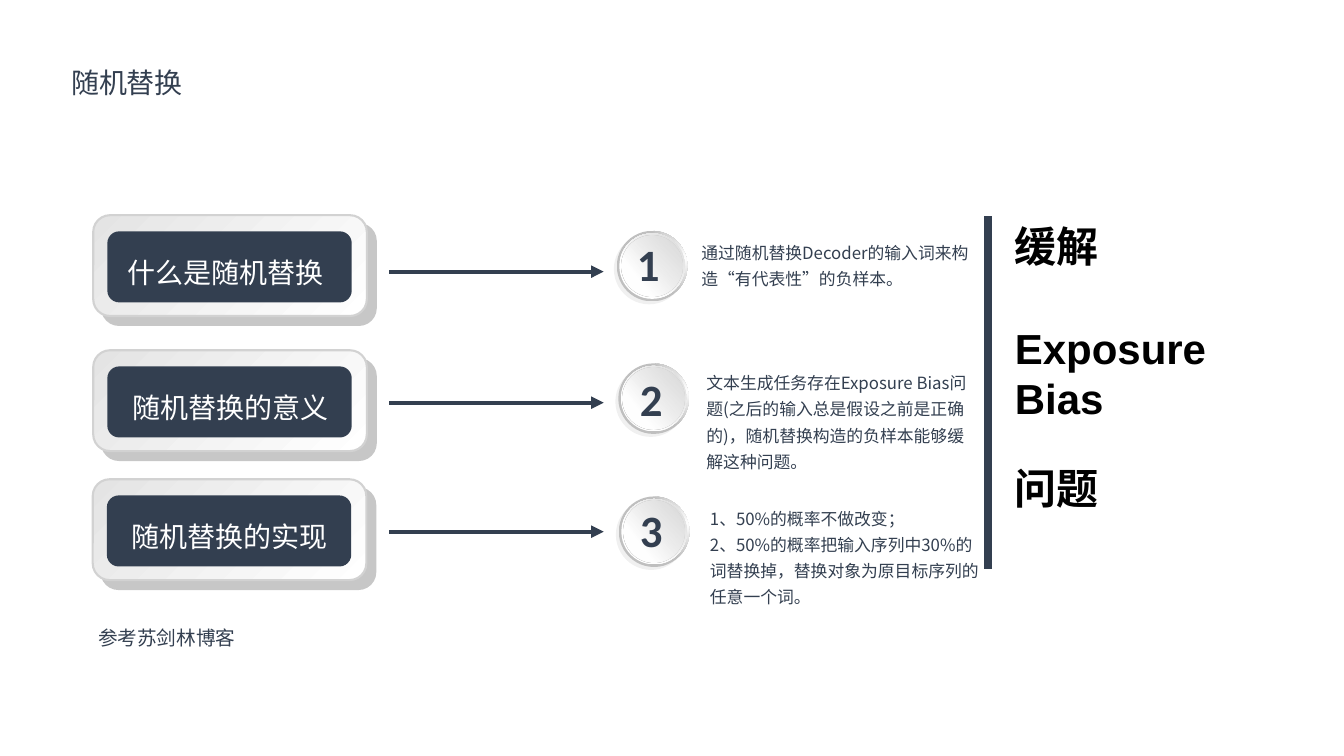
from lxml.etree import SubElement
from pptx import Presentation
from pptx.dml.color import RGBColor
from pptx.enum.shapes import MSO_CONNECTOR, MSO_SHAPE
from pptx.enum.text import MSO_ANCHOR, MSO_AUTO_SIZE, PP_ALIGN
from pptx.oxml.ns import qn
from pptx.util import Inches, Pt

COLORS = {"navy": "333F50", "white": "FFFFFF", "black": "000000", "edge": "D2D2D2",
          "silver": "BFBFBF", "light": "D9D9D9", "pale": "E4E4E4"}
CJK_FONT = "Noto Sans CJK SC"
BADGE_SIZE = 1.4
ROWS = [
    {"card": (1.85, 4.27), "label": "什么是随机替换", "label_left": 2.43, "arrow": 5.39,
     "badge": (12.24, 4.58), "numeral": (0.3, 0.02), "note": (13.82, 4.6, 5.57, 1.25),
     "lines": ["通过随机替换Decoder的输入词来构造“有代表性”的负样本。"]},
    {"card": (1.85, 6.95), "label": "随机替换的意义", "label_left": 2.53, "arrow": 7.99,
     "badge": (12.27, 7.21), "numeral": (0.33, 0.06), "note": (13.92, 7.18, 5.57, 2.3),
     "lines": ["文本生成任务存在Exposure Bias问题(之后的输入总是假设之前是正确的)，"
               "随机替换构造的负样本能够缓解这种问题。"]},
    {"card": (1.84, 9.51), "label": "随机替换的实现", "label_left": 2.52, "arrow": 10.55,
     "badge": (12.28, 9.85), "numeral": (0.32, 0.02), "note": (13.99, 9.87, 5.57, 2.3),
     "lines": ["1、50%的概率不做改变；",
               "2、50%的概率把输入序列中30%的词替换掉，替换对象为原目标序列的任意一个词。"]},
]


def rgb(name):
    """Return the named colour."""
    return RGBColor.from_string(COLORS[name])


def write_text(shape, lines, size, color, font=CJK_FONT, bold=False, spacing=1.0, wrap=True):
    """Fill a shape with left-aligned paragraphs in one format."""
    frame = shape.text_frame
    frame.text = "\n".join(lines)
    frame.word_wrap = wrap
    frame.auto_size = MSO_AUTO_SIZE.NONE
    frame.vertical_anchor = MSO_ANCHOR.TOP
    frame.margin_left = frame.margin_right = Inches(0.1)
    frame.margin_top = frame.margin_bottom = Inches(0.1)
    for paragraph in frame.paragraphs:
        paragraph.alignment = PP_ALIGN.LEFT
        paragraph.line_spacing = spacing
        for run in paragraph.runs:
            run.font.size = Pt(size)
            run.font.bold = bold
            run.font.color.rgb = rgb(color)
            run.font.name = font
            SubElement(run.font._element, qn("a:ea"), typeface=CJK_FONT)


def add_text(shapes, box, lines, size, color, **style):
    """Add a text box at the given box."""
    write_text(shapes.add_textbox(*map(Inches, box)), lines, size, color, **style)


def add_plain_shape(shapes, kind, box, color="white"):
    """Add a filled shape with no outline and no shadow."""
    shape = shapes.add_shape(kind, *map(Inches, box))
    shape.shadow.inherit = False
    shape.fill.solid()
    shape.fill.fore_color.rgb = rgb(color)
    shape.line.fill.background()
    return shape


def set_gradient(shape, stops, angle=None, focus=None):
    """Give a shape a linear gradient, or a rectangular one around a focus."""
    solid = shape._element.spPr.find(qn("a:solidFill"))
    gradient = solid.makeelement(qn("a:gradFill"), {"rotWithShape": "1"})
    solid.getparent().replace(solid, gradient)
    stop_list = SubElement(gradient, qn("a:gsLst"))
    for position, color, alpha in stops:
        stop = SubElement(stop_list, qn("a:gs"), pos=str(position * 1000))
        value = SubElement(stop, qn("a:srgbClr"), val=COLORS[color])
        if alpha < 100:
            SubElement(value, qn("a:alpha"), val=str(alpha * 1000))
    if focus:
        route = SubElement(gradient, qn("a:path"), {"path": "rect"})
        sides = {side: str(percent * 1000) for side, percent in zip("ltrb", focus)}
        SubElement(route, qn("a:fillToRect"), sides)
    else:
        SubElement(gradient, qn("a:lin"), ang=str(angle * 60000), scaled="0")


def set_shadow(shape, alpha, distance, angle):
    """Give a shape a sharp black outer shadow."""
    effects = shape._element.spPr.find(qn("a:effectLst"))
    shadow = SubElement(effects, qn("a:outerShdw"), blurRad="0", dist=str(Pt(distance)),
                        dir=str(angle * 60000), algn="ctr", rotWithShape="0")
    value = SubElement(shadow, qn("a:srgbClr"), val=COLORS["black"])
    SubElement(value, qn("a:alpha"), val=str(alpha * 1000))


def add_line(shapes, start, end, width, arrow=False):
    """Add a navy line, with an arrowhead at its end if asked."""
    line = shapes.add_connector(MSO_CONNECTOR.STRAIGHT, *map(Inches, (*start, *end)))
    line.line.color.rgb = rgb("navy")
    line.line.width = Pt(width)
    if arrow:
        SubElement(line.line._get_or_add_ln(), qn("a:tailEnd"), type="triangle")
    SubElement(line._element.spPr, qn("a:effectLst"))


def add_card(slide, left, top, label, label_left):
    """Add a raised frame with a navy face and its label."""
    shapes = slide.shapes.add_group_shape().shapes
    frame = add_plain_shape(shapes, MSO_SHAPE.ROUNDED_RECTANGLE, (left, top, 5.43, 2))
    set_gradient(frame, [(0, "pale", 100), (100, "white", 100)], angle=45)
    frame.line.color.rgb = rgb("edge")
    frame.line.width = Pt(3)
    set_shadow(frame, 22, 18, 45)
    face = (left + 0.28, top + 0.32, 4.85, 1.41)
    add_plain_shape(shapes, MSO_SHAPE.ROUNDED_RECTANGLE, face, "navy")
    add_text(slide.shapes, (label_left, top + 0.36, 5.17, 1.21), [label], 40, "white",
             spacing=1.5)


def add_badge(slide, left, top, number, numeral):
    """Add a round metallic badge with its number."""
    shapes = slide.shapes.add_group_shape().shapes
    rings = []
    for size in (BADGE_SIZE, 1.3, 1.22):
        inset = (BADGE_SIZE - size) / 2
        box = (left + inset, top + inset, size, size)
        rings.append(add_plain_shape(shapes, MSO_SHAPE.OVAL, box))
    rim, disc, gloss = rings
    set_gradient(rim, [(0, "white", 100), (100, "silver", 100)], focus=(120, 38, -20, 62))
    set_shadow(rim, 5, 6, 135)
    set_gradient(disc, [(0, "white", 100), (30, "white", 100), (100, "light", 100)], angle=315)
    set_gradient(gloss, [(0, "white", 100), (30, "white", 70), (100, "silver", 0)], angle=315)
    gloss.rotation = 6.8
    add_text(shapes, (left + numeral[0], top + numeral[1], 0.73, 1.23), [str(number)], 64,
             "navy", font="Calibri", bold=True, wrap=False)


def add_row(slide, number, row):
    """Add one row: card, arrow, badge and note."""
    add_line(slide.shapes, (7.72, row["arrow"]), (11.98, row["arrow"]), 6, arrow=True)
    add_badge(slide, *row["badge"], number, row["numeral"])
    add_text(slide.shapes, row["note"], row["lines"], 24, "navy", spacing=1.3)
    add_card(slide, *row["card"], row["label"], row["label_left"])


def add_conclusion(slide, left, top, height):
    """Add the vertical bar and the three bold phrases beside it."""
    add_line(slide.shapes, (left, top), (left, top + height), 12)
    phrases = [("缓解", -0.02, 1.87, 1.21), ("Exposure Bias", 2.01, 5.9, 2.2),
               ("问题", 4.78, 1.87, 1.21)]
    for phrase, offset, width, box_height in phrases:
        add_text(slide.shapes, (left + 0.44, top + offset, width, box_height), [phrase], 60,
                 "black", font="Arial", bold=True)


def add_title(slide, left, top, width, height):
    """Place and format the slide title."""
    title = slide.shapes.title
    title.left, title.top, title.width, title.height = map(Inches, (left, top, width, height))
    write_text(title, ["随机替换"], 40, "navy", spacing=1.5)


def main():
    """Build and save the slide."""
    presentation = Presentation()
    presentation.slide_width = Inches(26.67)
    presentation.slide_height = Inches(15)
    slide = presentation.slides.add_slide(presentation.slide_layouts[5])
    add_title(slide, 1.31, 0.87, 6.19, 1.21)
    for number, row in enumerate(ROWS, start=1):
        add_row(slide, number, row)
    add_conclusion(slide, 19.6, 4.29, 7)
    add_text(slide.shapes, (1.85, 12.17, 6.14, 0.81), ["参考苏剑林博客"], 28, "navy", spacing=1.3)
    presentation.save("out.pptx")


if __name__ == "__main__":
    main()
